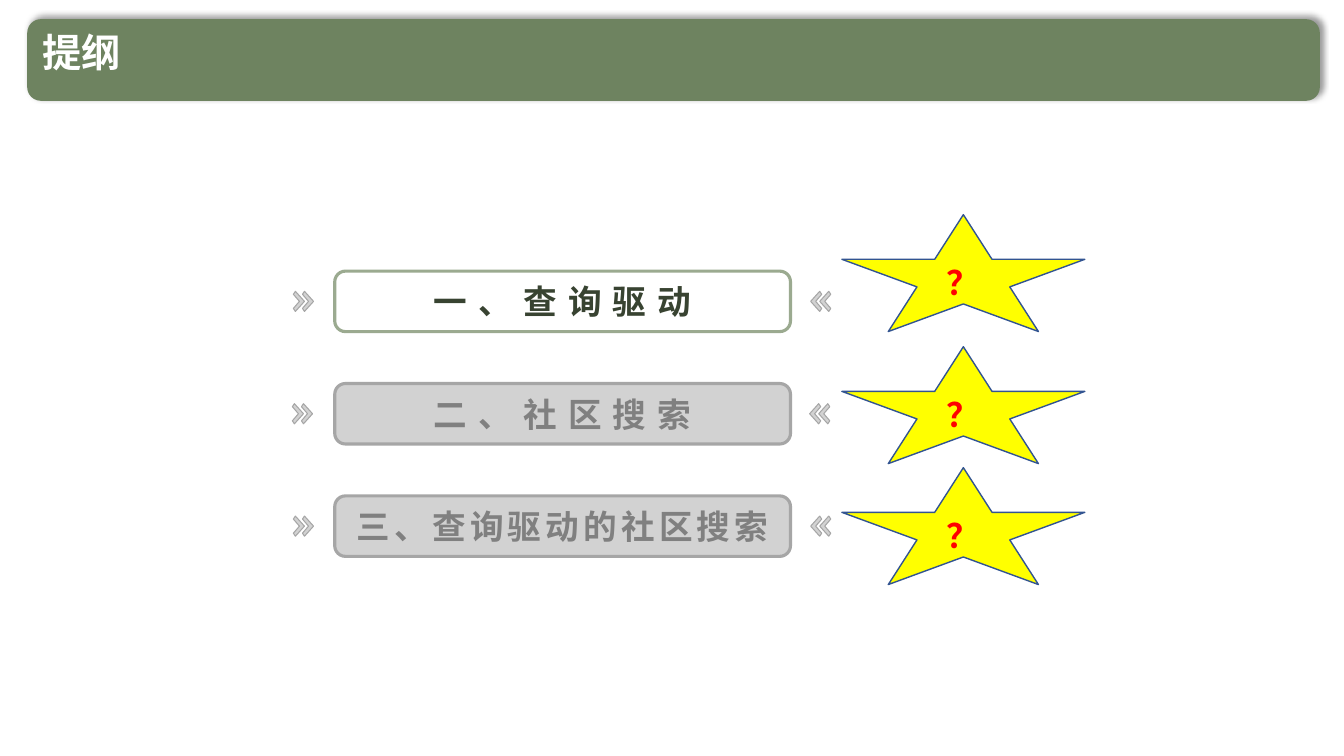
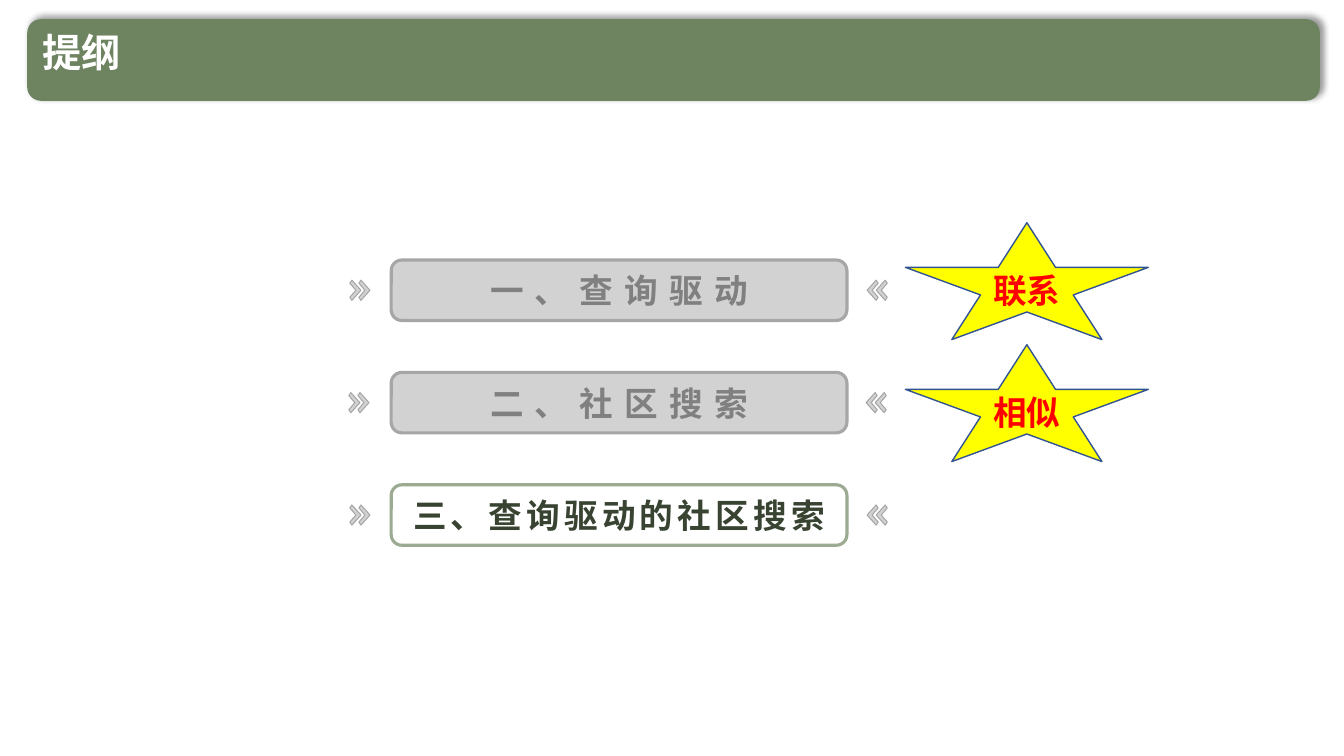
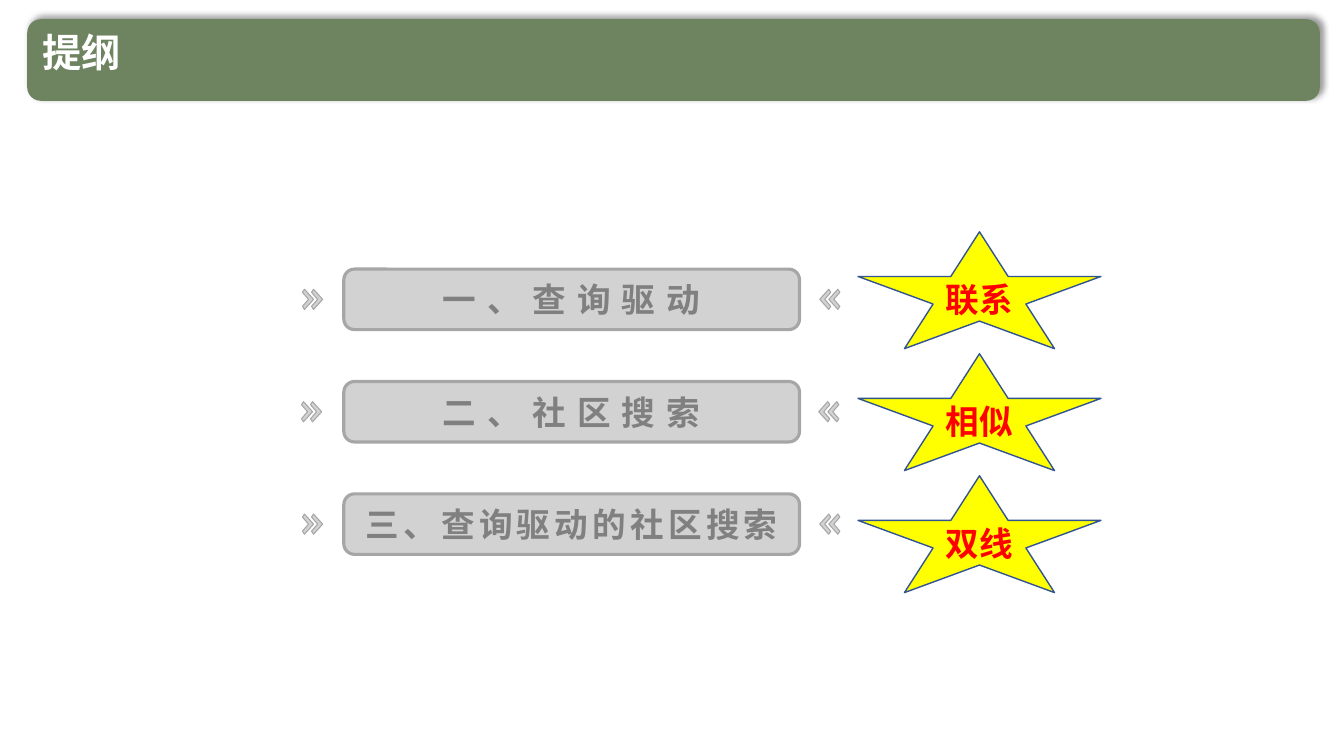
"""Build three outline slides with numbered topics and star callouts."""
from dataclasses import dataclass
from typing import NamedTuple, Optional

import lxml.etree
import pptx
import pptx.dml.color
import pptx.enum.lang
import pptx.enum.shapes
import pptx.enum.text
import pptx.oxml.ns
import pptx.util

Inches = pptx.util.Inches
Pt = pptx.util.Pt
qn = pptx.oxml.ns.qn
MSO_SHAPE = pptx.enum.shapes.MSO_SHAPE
PP_ALIGN = pptx.enum.text.PP_ALIGN
MSO_ANCHOR = pptx.enum.text.MSO_ANCHOR


@dataclass(frozen=True)
class Theme:
    band: str = "6E8360"
    white: str = "FFFFFF"
    grey: str = "A6A6A6"
    grey_text: str = "808080"
    active_line: str = "9BAA90"
    active_text: str = "384331"
    star: str = "FFFF00"
    star_line: str = "325491"
    star_text: str = "FF0000"
    font: str = "Noto Sans CJK SC"
    star_font: str = "Calibri"
    title_size: int = 28
    body_size: int = 24


class Topic(NamedTuple):
    text: str
    spacing: int
    shift: float


class Star(NamedTuple):
    text: str
    top: float


@dataclass(frozen=True)
class Outline:
    left: float
    top: float
    active: Optional[int]
    star_left: float
    stars: tuple[Star, ...]


THEME = Theme()
TITLE = "提纲"
TOPICS = (
    Topic("一、查询驱动", 8, 0),
    Topic("二、社区搜索", 8, -0.01),
    Topic("三、查询驱动的社区搜索", 3, 0),
)
OUTLINES = (
    Outline(3.32, 2.69, 0, 8.35, (Star("？", 2.13), Star("？", 3.44), Star("？", 4.64))),
    Outline(3.88, 2.58, 2, 8.98, (Star("联系", 2.21), Star("相似", 3.42))),
    Outline(3.41, 2.67, None, 8.51,
            (Star("联系", 2.3), Star("相似", 3.51), Star("双线", 4.72))),
)
BOX_WIDTH, BOX_HEIGHT = 4.52, 0.6
ROW_PITCH = 2.23 / 2
CHEVRON = ((0.02, 0), (0, 0.03), (0.06, 0.1), (0, 0.17), (0.02, 0.2), (0.11, 0.1))
CHEVRON_WIDTH, CHEVRON_STEP = 0.11, 0.09


def rgb(value: str) -> pptx.dml.color.RGBColor:
    return pptx.dml.color.RGBColor.from_string(value)


def write_text(sp, text: str, *, size: int, color: str, font: str = THEME.font,
               align=PP_ALIGN.CENTER, anchor=MSO_ANCHOR.MIDDLE,
               spacing: int = 0, line_spacing: float = 1.0) -> None:
    tf = sp.text_frame
    tf.word_wrap = True
    tf.auto_size = pptx.enum.text.MSO_AUTO_SIZE.NONE
    tf.vertical_anchor = anchor
    p = tf.paragraphs[0]
    p.alignment = align
    p.line_spacing = line_spacing
    r = p.add_run()
    r.text = text
    r.font.size = Pt(size)
    r.font.bold = True
    r.font.name = font
    r.font.color.rgb = rgb(color)
    r.font.language_id = pptx.enum.lang.MSO_LANGUAGE_ID.SIMPLIFIED_CHINESE
    r_pr = r.font._element
    r_pr.find(qn("a:latin")).addnext(
        lxml.etree.Element(qn("a:ea"), typeface=THEME.font))
    if spacing:
        r_pr.set("spc", str(spacing * 100))


def style(sp, *, fill: Optional[str] = None, opacity: int = 100,
          line: Optional[str] = None, width: float = 1) -> None:
    sp.shadow.inherit = False
    if fill:
        sp.fill.solid()
        sp.fill.fore_color.rgb = rgb(fill)
        if opacity < 100:
            color = sp.element.spPr.find(qn("a:solidFill")).find(qn("a:srgbClr"))
            lxml.etree.SubElement(color, qn("a:alpha"), val=str(opacity * 1000))
    else:
        sp.fill.background()
    if line:
        sp.line.color.rgb = rgb(line)
        sp.line.width = Pt(width)
    else:
        sp.line.fill.background()


def add_preset(s, kind, left: float, top: float, width: float, height: float):
    return s.shapes.add_shape(kind, Inches(left), Inches(top), Inches(width), Inches(height))


def set_up_layout(s) -> None:
    layout = s.slide_layout
    band = add_preset(s, MSO_SHAPE.ROUNDED_RECTANGLE, 0.27, 0.19, 12.82, 0.81)
    style(band, fill=THEME.band)
    shadow = lxml.etree.SubElement(
        band.element.spPr.find(qn("a:effectLst")), qn("a:outerShdw"),
        blurRad=str(Pt(4)), dist=str(Pt(3)), dir=str(315 * 60000),
        algn="bl", rotWithShape="0")
    color = lxml.etree.SubElement(shadow, qn("a:srgbClr"), val="000000")
    lxml.etree.SubElement(color, qn("a:alpha"), val="40000")
    layout.shapes.element.insert(2, band.element)
    title = layout.placeholders[0]
    title.left, title.top = Inches(0.32), Inches(0.28)
    title.width, title.height = Inches(11.07), Inches(0.62)


def add_chevrons(s, left: float, top: float, mirrored: bool = False) -> None:
    group = s.shapes.add_group_shape()
    for i in range(2):
        x0 = left + i * CHEVRON_STEP
        points = [(Inches(x0 + (CHEVRON_WIDTH - x if mirrored else x)), Inches(top + y))
                  for x, y in CHEVRON]
        builder = group.shapes.build_freeform(*points[0])
        builder.add_line_segments(points[1:], close=True)
        style(builder.convert_to_shape(), fill=THEME.grey, opacity=50,
              line=THEME.grey, width=0.75)


def add_topic(s, topic: Topic, left: float, top: float, active: bool) -> None:
    sp = add_preset(s, MSO_SHAPE.ROUNDED_RECTANGLE, left, top, BOX_WIDTH, BOX_HEIGHT)
    sp.adjustments[0] = 0.177
    if active:
        style(sp, line=THEME.active_line, width=2.25)
    else:
        style(sp, fill=THEME.grey, opacity=50, line=THEME.grey, width=2.25)
    write_text(sp, topic.text, size=THEME.body_size, spacing=topic.spacing,
               color=THEME.active_text if active else THEME.grey_text)
    add_chevrons(s, left - 0.41 + topic.shift, top + 0.2)
    add_chevrons(s, left + BOX_WIDTH + 0.2 + topic.shift, top + 0.2, mirrored=True)


def add_star(s, star: Star, left: float) -> None:
    sp = add_preset(s, MSO_SHAPE.STAR_5_POINT, left, star.top, 2.41, 1.16)
    style(sp, fill=THEME.star, line=THEME.star_line)
    write_text(sp, star.text, size=THEME.body_size, color=THEME.star_text,
               font=THEME.star_font)


def add_outline(s, outline: Outline) -> None:
    write_text(s.shapes.title, TITLE, size=THEME.title_size, color=THEME.white,
               align=PP_ALIGN.LEFT, anchor=MSO_ANCHOR.TOP, line_spacing=0.9)
    for i, topic in enumerate(TOPICS):
        add_topic(s, topic, outline.left, outline.top + i * ROW_PITCH, i == outline.active)
    for star in outline.stars:
        add_star(s, star, outline.star_left)


def main() -> None:
    prs = pptx.Presentation()
    prs.slide_width, prs.slide_height = Inches(13.33), Inches(7.5)
    slides = [prs.slides.add_slide(prs.slide_layouts[5]) for _ in OUTLINES]
    set_up_layout(slides[0])
    for s, outline in zip(slides, OUTLINES):
        add_outline(s, outline)
    prs.save("out.pptx")


if __name__ == "__main__":
    main()
